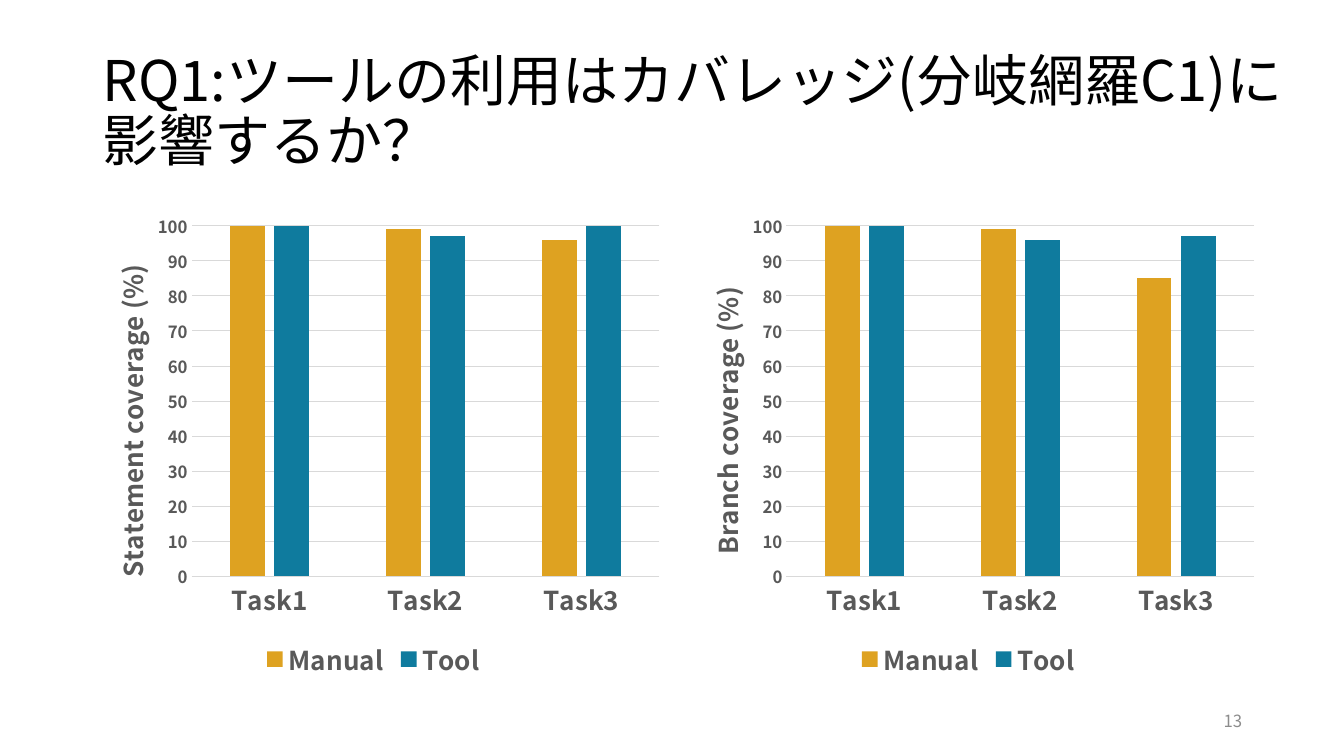
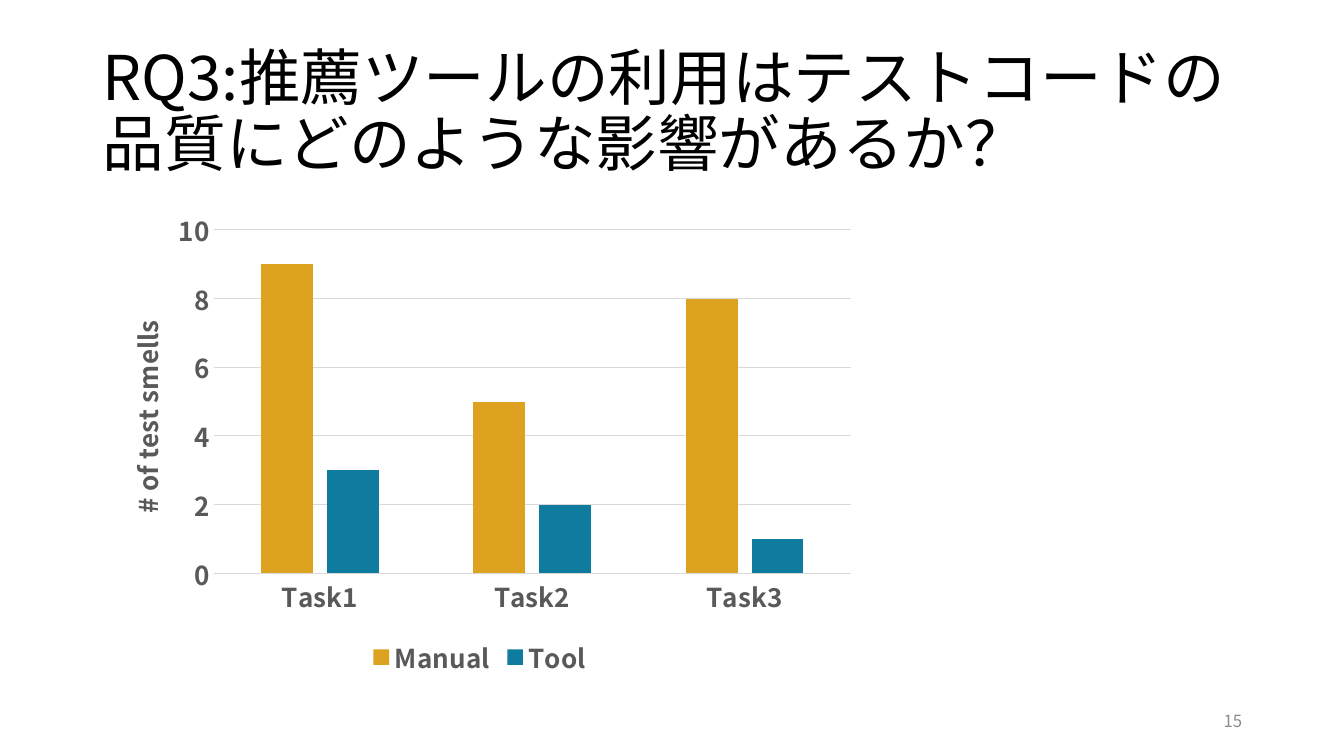
from lxml import etree
from pptx import Presentation, util as u
from pptx.chart.data import CategoryChartData
from pptx.dml.color import RGBColor
from pptx.enum import chart as charts, text as texts
from pptx.oxml import ns

PX = 9144


def px(*lengths):
    return [u.Emu(length * PX) for length in lengths]


def color(code):
    return RGBColor.from_string(code)


class SlideMaker:
    FONT = "Noto Sans CJK JP"
    BLACK, GRAY, LABEL, GRID = "000000", "8C8C8C", "595959", "D9D9D9"
    SERIES = {"Manual": "DEA221", "Tool": "0F7B9E"}
    TASKS = ["Task1", "Task2", "Task3"]
    LABEL_SIZE = 18.6

    def __init__(self):
        self.deck = Presentation()
        self.deck.slide_width, self.deck.slide_height = px(1333, 750)
        self.slide = None

    def font(self, font, size, code, bold=False):
        font.name, font.size, font.bold = self.FONT, u.Pt(size), bold
        font.color.rgb = color(code)

    def fill_text(self, box, text, size, code, align):
        frame = box.text_frame
        frame.text = text
        frame.word_wrap = True
        frame.auto_size = texts.MSO_AUTO_SIZE.NONE
        frame.vertical_anchor = texts.MSO_ANCHOR.MIDDLE
        para = frame.paragraphs[0]
        para.alignment = align
        for span in para.runs:
            self.font(span.font, size, code)
            properties = span.font._element
            east_asian = etree.SubElement(properties, ns.qn("a:ea"))
            east_asian.set("typeface", self.FONT)
        return para

    def page(self, title, size, width, number):
        self.slide = self.deck.slides.add_slide(self.deck.slide_layouts[5])
        box = self.slide.shapes.title
        box.left, box.top, box.width, box.height = px(92, 40, width, 145)
        para = self.fill_text(box, title, size, self.BLACK, texts.PP_ALIGN.LEFT)
        para.line_spacing = 0.9
        footer = self.slide.shapes.add_textbox(*px(942, 695, 300, 40))
        self.fill_text(footer, str(number), 12, self.GRAY, texts.PP_ALIGN.RIGHT)

    def place(self, part, index, **fractions):
        for old in part.findall(ns.qn("c:layout")):
            part.remove(old)
        layout = etree.Element(ns.qn("c:layout"))
        manual = etree.SubElement(layout, ns.qn("c:manualLayout"))
        if "w" in fractions:
            etree.SubElement(manual, ns.qn("c:layoutTarget")).set("val", "inner")
        for mode in ("xMode", "yMode"):
            etree.SubElement(manual, ns.qn("c:" + mode)).set("val", "edge")
        for name, value in fractions.items():
            etree.SubElement(manual, ns.qn("c:" + name)).set("val", str(round(value, 4)))
        part.insert(index, layout)

    def line(self, line):
        line.color.rgb = color(self.GRID)
        line.width = u.Pt(0.75)

    def axis(self, axis, size):
        axis.major_tick_mark = axis.minor_tick_mark = charts.XL_TICK_MARK.NONE
        self.font(axis.tick_labels.font, size, self.LABEL, True)

    def column_chart(self, at, plot_at, title, title_at, values,
                     top, step, gap, value_size=LABEL_SIZE):
        data = CategoryChartData()
        data.categories = self.TASKS
        for name, numbers in zip(self.SERIES, values):
            data.add_series(name, numbers)
        chart = self.slide.shapes.add_chart(
            charts.XL_CHART_TYPE.COLUMN_CLUSTERED, *px(*at), data).chart
        self.font(chart.font, 10, self.BLACK)
        chart.has_title = False

        plot = chart.plots[0]
        plot.gap_width, plot.overlap, plot.vary_by_categories = gap, -27, False
        for series in plot.series:
            series.format.fill.solid()
            series.format.fill.fore_color.rgb = color(self.SERIES[series.name])

        self.axis(chart.category_axis, self.LABEL_SIZE)
        self.line(chart.category_axis.format.line)
        value_axis = chart.value_axis
        self.axis(value_axis, value_size)
        value_axis.format.line.fill.background()
        value_axis.minimum_scale, value_axis.maximum_scale = 0, top
        value_axis.major_unit = step
        value_axis.has_major_gridlines = True
        self.line(value_axis.major_gridlines.format.line)
        frame = value_axis.axis_title.text_frame
        frame.text = title
        self.font(frame.paragraphs[0].runs[0].font, self.LABEL_SIZE, self.LABEL, True)

        chart.has_legend = True
        chart.legend.position = charts.XL_LEGEND_POSITION.BOTTOM
        chart.legend.include_in_layout = False
        self.font(chart.legend.font, self.LABEL_SIZE, self.LABEL, True)

        space = chart._chartSpace
        axis_title = space.xpath(".//c:valAx/c:title")[0]
        body = axis_title.xpath(".//a:bodyPr")[0]
        body.set("rot", "-5400000")
        body.set("vert", "horz")
        width, height = at[2:]
        self.place(axis_title, 1, x=title_at[0] / width, y=title_at[1] / height)
        left, upper, inner_width, inner_height = plot_at
        self.place(space.xpath("c:chart/c:plotArea")[0], 0,
                   x=left / width, y=upper / height,
                   w=inner_width / width, h=inner_height / height)


def main():
    maker = SlideMaker()
    maker.page("RQ1:ツールの利用はカバレッジ(分岐網羅C1)に影響するか？", 40, 1201, 13)
    coverage = [
        (75, "Statement coverage (%)", 56, [(100, 99, 96), (100, 97, 100)]),
        (665, "Branch coverage (%)", 78, [(100, 99, 85), (100, 96, 97)]),
    ]
    for left, title, title_top, values in coverage:
        maker.column_chart((left, 202, 591, 476), (115, 22, 464, 348),
                           title, (29, title_top), values,
                           top=100, step=10, gap=219, value_size=12)

    maker.page("RQ3:推薦ツールの利用はテストコードの品質にどのような影響があるか？", 44, 1150, 15)
    maker.column_chart((92, 200, 768, 476), (120, 28, 632, 341),
                       "# of test smells", (27, 113), [(9, 5, 8), (3, 2, 1)],
                       top=10, step=2, gap=183)
    maker.deck.save("out.pptx")


if __name__ == "__main__":
    main()
